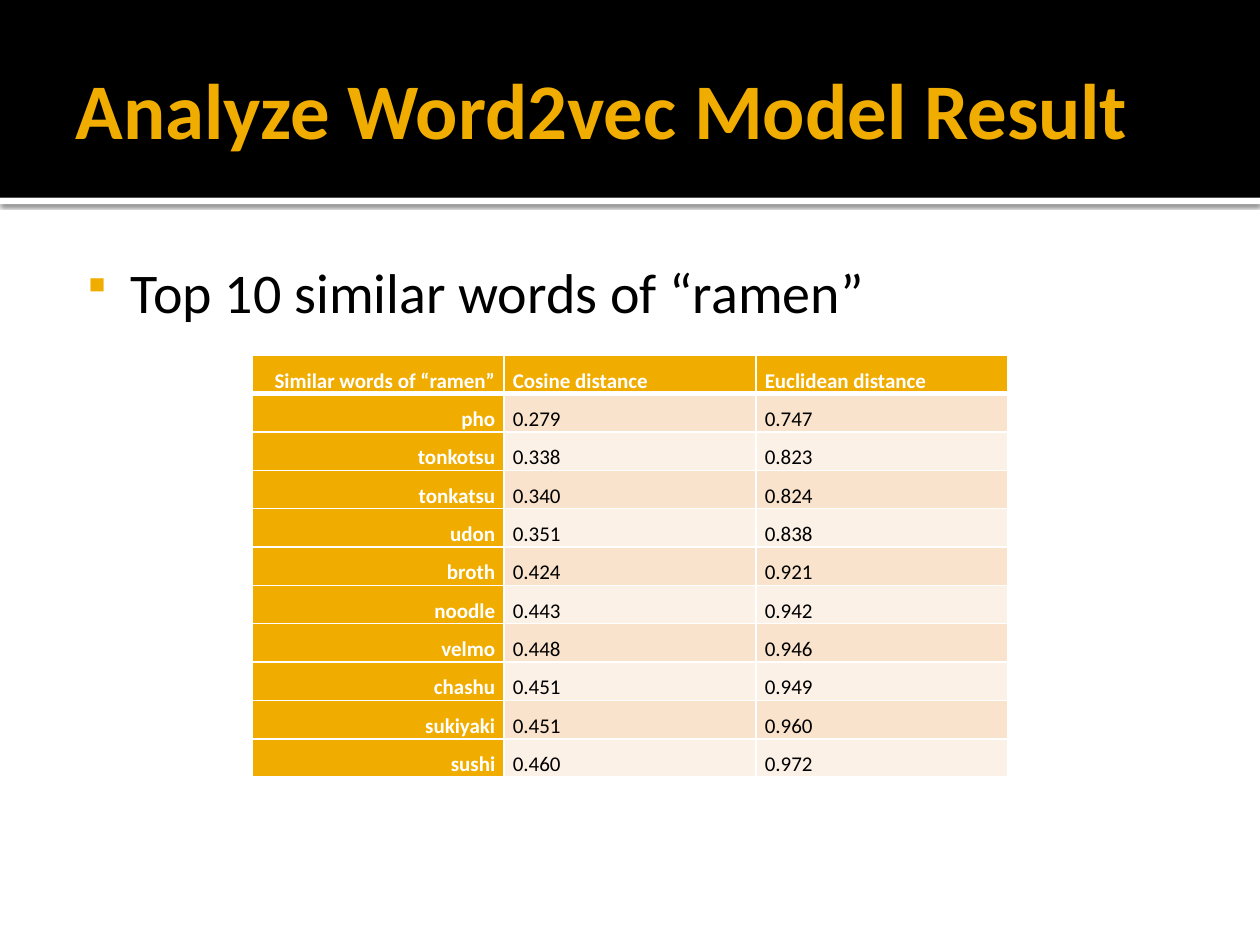
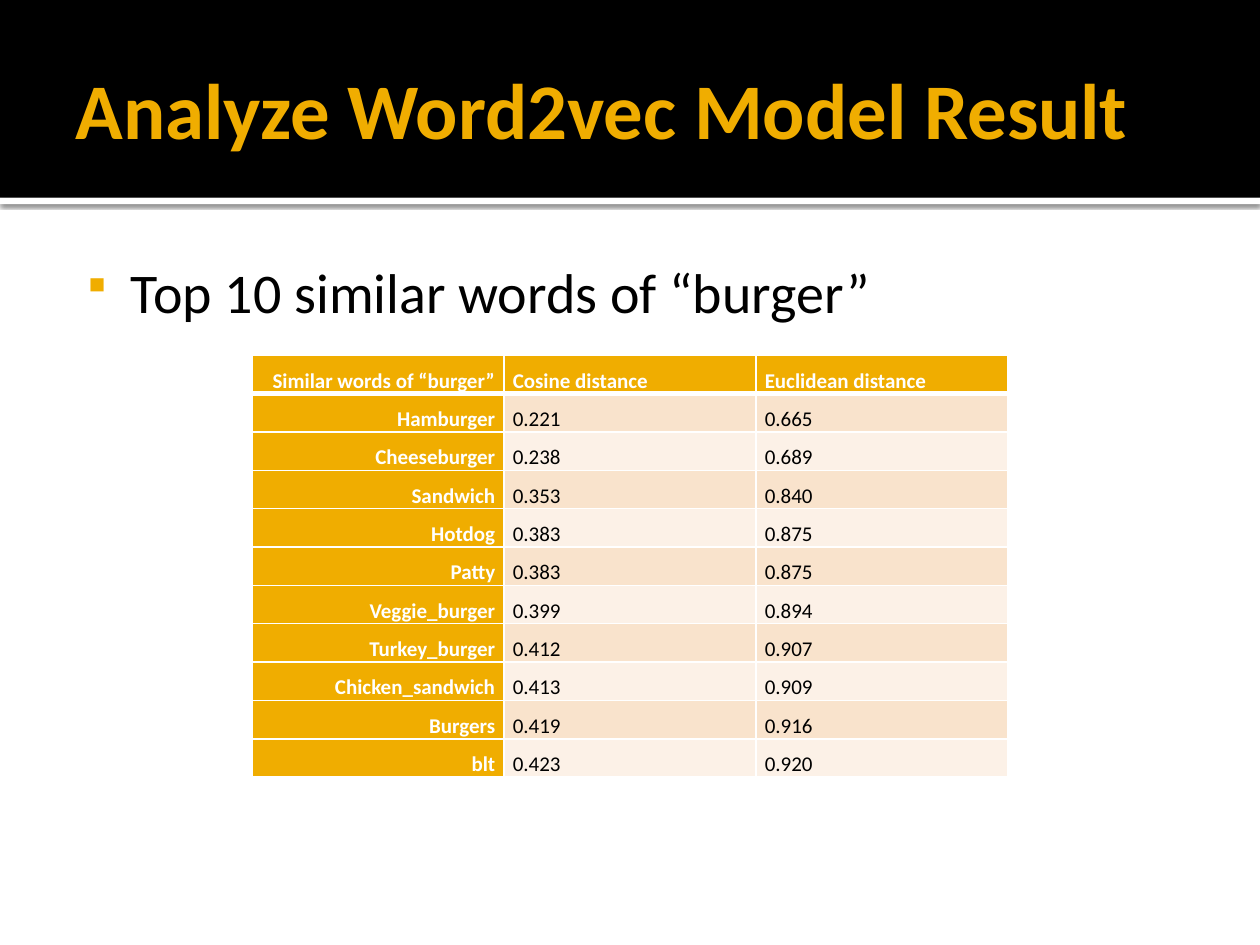
from dataclasses import dataclass
from lxml.etree import SubElement as Sub
from pptx import Presentation
from pptx.dml.color import RGBColor as RGB
from pptx.enum.shapes import MSO_SHAPE as Kind
from pptx.enum.text import MSO_ANCHOR as Anchor, PP_ALIGN as Align
from pptx.oxml.ns import qn
from pptx.util import Inches, Pt


@dataclass(frozen=True)
class Theme:
    font: str = "Calibri"
    mark: str = "Wingdings"
    gold: str = "F0AD00"
    black: str = "000000"
    white: str = "FFFFFF"
    bands: tuple = ("F9E3CC", "FCF1E7")
    title: int = 45
    body: int = 32
    cell: int = 12


T = Theme()
WIDE, HIGH = 10, 7.5
BAND = (0, 0, WIDE, 1.57)
RULE = (0, 1.57, WIDE, 0.05)
TITLE = (0.5, 0.17, 9, 1.37)
BODY = (0.5, 1.94, 9, 5.06)
GRID = (2, 2.82, 6, 3.35)

HEADS = ("Cosine distance", "Euclidean distance")
DATA = {
    "ramen": [
        ("pho", "0.279", "0.747"),
        ("tonkotsu", "0.338", "0.823"),
        ("tonkatsu", "0.340", "0.824"),
        ("udon", "0.351", "0.838"),
        ("broth", "0.424", "0.921"),
        ("noodle", "0.443", "0.942"),
        ("velmo", "0.448", "0.946"),
        ("chashu", "0.451", "0.949"),
        ("sukiyaki", "0.451", "0.960"),
        ("sushi", "0.460", "0.972"),
    ],
    "burger": [
        ("Hamburger", "0.221", "0.665"),
        ("Cheeseburger", "0.238", "0.689"),
        ("Sandwich", "0.353", "0.840"),
        ("Hotdog", "0.383", "0.875"),
        ("Patty", "0.383", "0.875"),
        ("Veggie_burger", "0.399", "0.894"),
        ("Turkey_burger", "0.412", "0.907"),
        ("Chicken_sandwich", "0.413", "0.909"),
        ("Burgers", "0.419", "0.916"),
        ("blt", "0.423", "0.920"),
    ],
}


def place(box):
    return [Inches(n) for n in box]


def pad(item, left, top, right, bottom):
    item.margin_left, item.margin_top = Inches(left), Inches(top)
    item.margin_right, item.margin_bottom = Inches(right), Inches(bottom)


def style(para, size, color, bold=False):
    for run in para.runs:
        font = run.font
        font.name, font.size, font.bold = T.font, Pt(size), bold
        font.color.rgb = RGB.from_string(color)


def tint(node, color):
    """Add a colour element to an XML node and return it."""
    return Sub(node, qn("a:srgbClr"), val=color)


def bar(slide, box, color):
    shape = slide.shapes.add_shape(Kind.RECTANGLE, *place(box))
    shape.shadow.inherit = False
    shape.fill.solid()
    shape.fill.fore_color.rgb = RGB.from_string(color)
    shape.line.fill.background()
    return shape


def shade(shape):
    """Cast a soft shadow straight down."""
    group = shape._element.spPr.find(qn("a:effectLst"))
    cast = Sub(group, qn("a:outerShdw"), blurRad=str(Pt(2.5)),
               dist=str(Pt(0.8)), dir="5400000", algn="tl", rotWithShape="0")
    Sub(tint(cast, T.black), qn("a:alpha"), val="60000")


def write(slide, box, text, pads):
    frame = slide.shapes.add_textbox(*place(box)).text_frame
    frame.word_wrap = True
    pad(frame, *pads)
    frame.text = text
    return frame


def header(slide, text):
    # White rule with a shadow, below the black band
    shade(bar(slide, RULE, T.white))
    bar(slide, BAND, T.black)
    frame = write(slide, TITLE, text, (0.1, 0.05, 0.05, 0.05))
    frame.vertical_anchor = Anchor.MIDDLE
    style(frame.paragraphs[0], T.title, T.gold, True)


def bullet(slide, box, text):
    para = write(slide, box, text, (0.06, 0.1, 0.1, 0.05)).paragraphs[0]
    props = para._p.get_or_add_pPr()
    props.set("marL", str(Inches(0.48)))
    props.set("indent", str(Inches(-0.35)))
    tint(Sub(props, qn("a:buClr")), T.gold)
    Sub(props, qn("a:buSzPct"), val="80000")
    # The section sign is a filled square in the mark font
    Sub(props, qn("a:buFont"), typeface=T.mark, charset="2")
    Sub(props, qn("a:buChar"), char="§")
    style(para, T.body, T.black)


def edge(cell, row):
    """Draw white cell borders, heavy between the head and the first row."""
    props = cell._tc.get_or_add_tcPr()
    wide = {"L": 1, "R": 1, "T": 3 if row == 1 else 1, "B": 3 if row == 0 else 1}
    for side, width in wide.items():
        line = Sub(props, qn("a:ln" + side), w=str(Pt(width)))
        tint(Sub(line, qn("a:solidFill")), T.white)


def grid(slide, box, rows):
    count, span = len(rows), len(rows[0])
    table = slide.shapes.add_table(count, span, *place(box)).table
    for col in table.columns:
        col.width = Inches(box[2] / span)
    for r, row in enumerate(rows):
        table.rows[r].height = Inches(box[3] / count)
        for c, text in enumerate(row):
            cell = table.cell(r, c)
            label = r == 0 or c == 0
            edge(cell, r)
            cell.fill.solid()
            fill = T.gold if label else T.bands[(r - 1) % 2]
            cell.fill.fore_color.rgb = RGB.from_string(fill)
            pad(cell, 0.07, 0, 0.07, 0)
            cell.text_frame.text = text
            para = cell.text_frame.paragraphs[0]
            para.line_spacing = 1.5
            para.alignment = Align.LEFT if c else Align.RIGHT
            style(para, T.cell, T.white if label else T.black, label)


def page(deck, word, rows):
    slide = deck.slides.add_slide(deck.slide_layouts[6])
    header(slide, "Analyze Word2vec Model Result")
    bullet(slide, BODY, f"Top 10 similar words of “{word}”")
    grid(slide, GRID, [(f"Similar words of “{word}”", *HEADS), *rows])


def main():
    deck = Presentation()
    deck.slide_width, deck.slide_height = Inches(WIDE), Inches(HIGH)
    for word, rows in DATA.items():
        page(deck, word, rows)
    deck.save("out.pptx")


if __name__ == "__main__":
    main()
